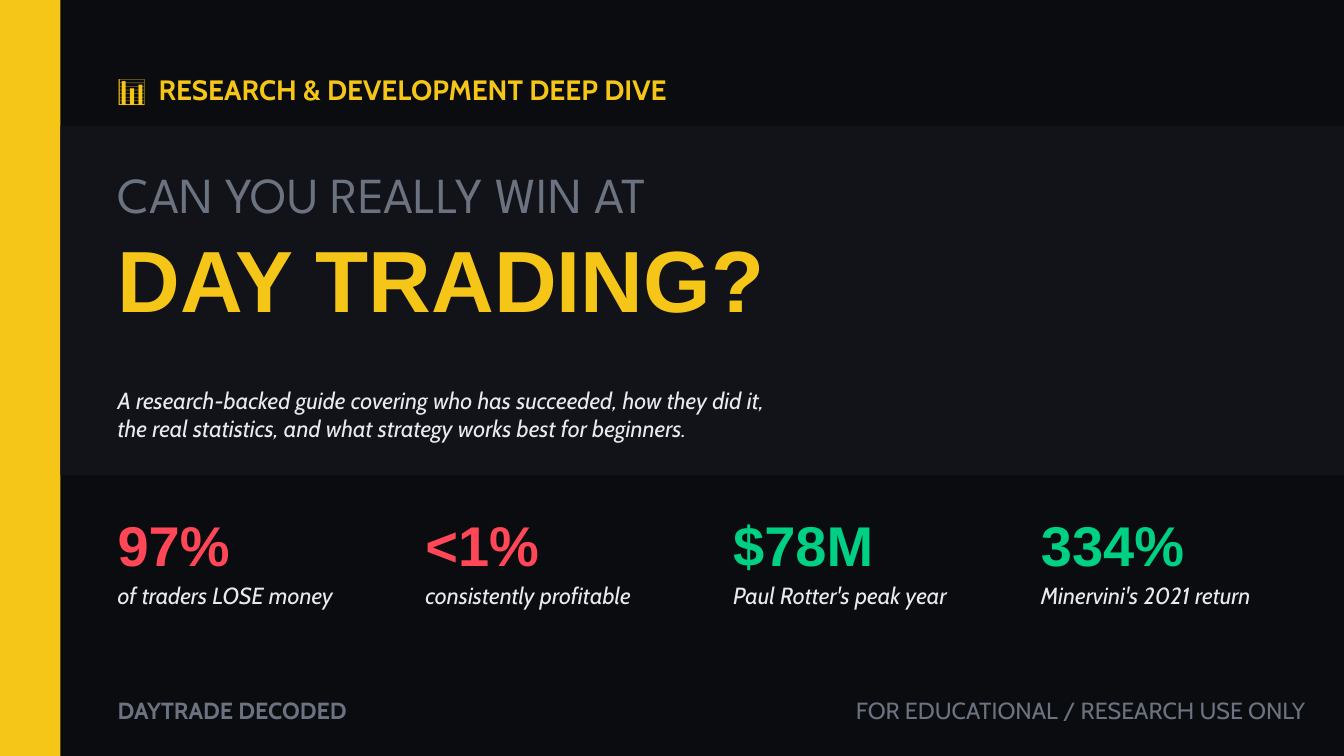
from lxml import etree
from pptx import Presentation
from pptx.dml.color import RGBColor
from pptx.enum.shapes import MSO_SHAPE
from pptx.enum.text import PP_ALIGN
from pptx.oxml.ns import qn
from pptx.util import Inches, Pt

RECTANGLE = MSO_SHAPE.RECTANGLE
LEFT, RIGHT = PP_ALIGN.LEFT, PP_ALIGN.RIGHT

INK = RGBColor(0x0A, 0x0C, 0x10)
PANEL = RGBColor(0x11, 0x13, 0x18)
YELLOW = RGBColor(0xF5, 0xC5, 0x18)
GREY = RGBColor(0x6B, 0x72, 0x80)
PALE = RGBColor(0xE8, 0xEA, 0xF0)
RED = RGBColor(0xFF, 0x47, 0x57)
GREEN = RGBColor(0x00, 0xD0, 0x84)

WIDTH, HEIGHT = 20, 11.25
BAR_WIDTH = 0.9
MARGIN = 1.75
STAT_STEP = 4.58
STAT_WIDTH = 3.55
LINE_RATIO = 1.2
ICON_TAB = 0.61

STYLES = {
    "eyebrow": {"name": "Cabin", "size": Pt(30), "bold": True},
    "lead": {"name": "League Spartan", "size": Pt(54)},
    "title": {"name": "Arial", "size": Pt(93.1), "bold": True},
    "figure": {"name": "Arial", "size": Pt(60), "bold": True},
    "note": {"name": "Cabin", "size": Pt(25), "italic": True},
    "brand": {"name": "Cabin", "size": Pt(25), "bold": True},
    "footer": {"name": "Cabin", "size": Pt(25)},
}

# left, top, width, height, colour
BANDS = [
    (0, 0, WIDTH, HEIGHT, INK),
    (0, 0, BAR_WIDTH, HEIGHT, YELLOW),
    (BAR_WIDTH, 1.87, WIDTH - BAR_WIDTH, 5.2, PANEL),
]

# lines, left, top, width, height, style, colour, alignment
TEXTS = [
    (["📊\tRESEARCH & DEVELOPMENT DEEP DIVE"],
     MARGIN, 1.08, 9.16, 0.57, "eyebrow", YELLOW, LEFT),
    (["CAN YOU REALLY WIN AT"], MARGIN, 2.42, 17.81, 0.9, "lead", GREY, LEFT),
    (["DAY TRADING?"], MARGIN, 3.36, 10.57, 1.58, "title", YELLOW, LEFT),
    (["A research-backed guide covering who has succeeded, how they did it,",
      "the real statistics, and what strategy works best for beginners."],
     MARGIN, 5.74, 10.36, 0.86, "note", PALE, LEFT),
    (["DAYTRADE DECODED"], MARGIN, 10.36, 7.31, 0.46, "brand", GREY, LEFT),
    (["FOR EDUCATIONAL / RESEARCH USE ONLY"],
     12.11, 10.36, 7.31, 0.46, "footer", GREY, RIGHT),
]

STATS = [
    ("97%", "of traders LOSE money", RED),
    ("<1%", "consistently profitable", RED),
    ("$78M", "Paul Rotter's peak year", GREEN),
    ("334%", "Minervini's 2021 return", GREEN),
]


def add_band(page, left, top, width, height, colour):
    band = page.shapes.add_shape(
        RECTANGLE, Inches(left), Inches(top), Inches(width), Inches(height))
    band.shadow.inherit = False
    band.fill.solid()
    band.fill.fore_color.rgb = colour
    band.line.fill.background()


def add_tab_stop(para, position):
    tabs = etree.SubElement(para._p.get_or_add_pPr(), qn("a:tabLst"))
    etree.SubElement(tabs, qn("a:tab"), pos=str(Inches(position)), algn="l")


def add_text(page, lines, left, top, width, height, style, colour, align=LEFT):
    box = page.shapes.add_textbox(
        Inches(left), Inches(top), Inches(width), Inches(height))
    frame = box.text_frame
    frame.word_wrap = True
    for side in ("left", "top", "right", "bottom"):
        setattr(frame, f"margin_{side}", 0)
    for index, line in enumerate(lines):
        para = frame.paragraphs[0] if index == 0 else frame.add_paragraph()
        para.alignment = align
        para.line_spacing = Pt(round(STYLES[style]["size"].pt * LINE_RATIO, 1))
        if "\t" in line:
            add_tab_stop(para, ICON_TAB)
        span = para.add_run()
        span.text = line
        for attribute, value in STYLES[style].items():
            setattr(span.font, attribute, value)
        span.font.color.rgb = colour


def main():
    deck = Presentation()
    deck.slide_width, deck.slide_height = Inches(WIDTH), Inches(HEIGHT)
    page = deck.slides.add_slide(deck.slide_layouts[6])
    for band in BANDS:
        add_band(page, *band)
    for text in TEXTS:
        add_text(page, *text)
    for column, (figure, caption, colour) in enumerate(STATS):
        left = MARGIN + column * STAT_STEP
        add_text(page, [figure], left, 7.59, STAT_WIDTH, 1.03, "figure", colour)
        add_text(page, [caption], left, 8.65, STAT_WIDTH, 0.46, "note", PALE)
    deck.save("out.pptx")


if __name__ == "__main__":
    main()
